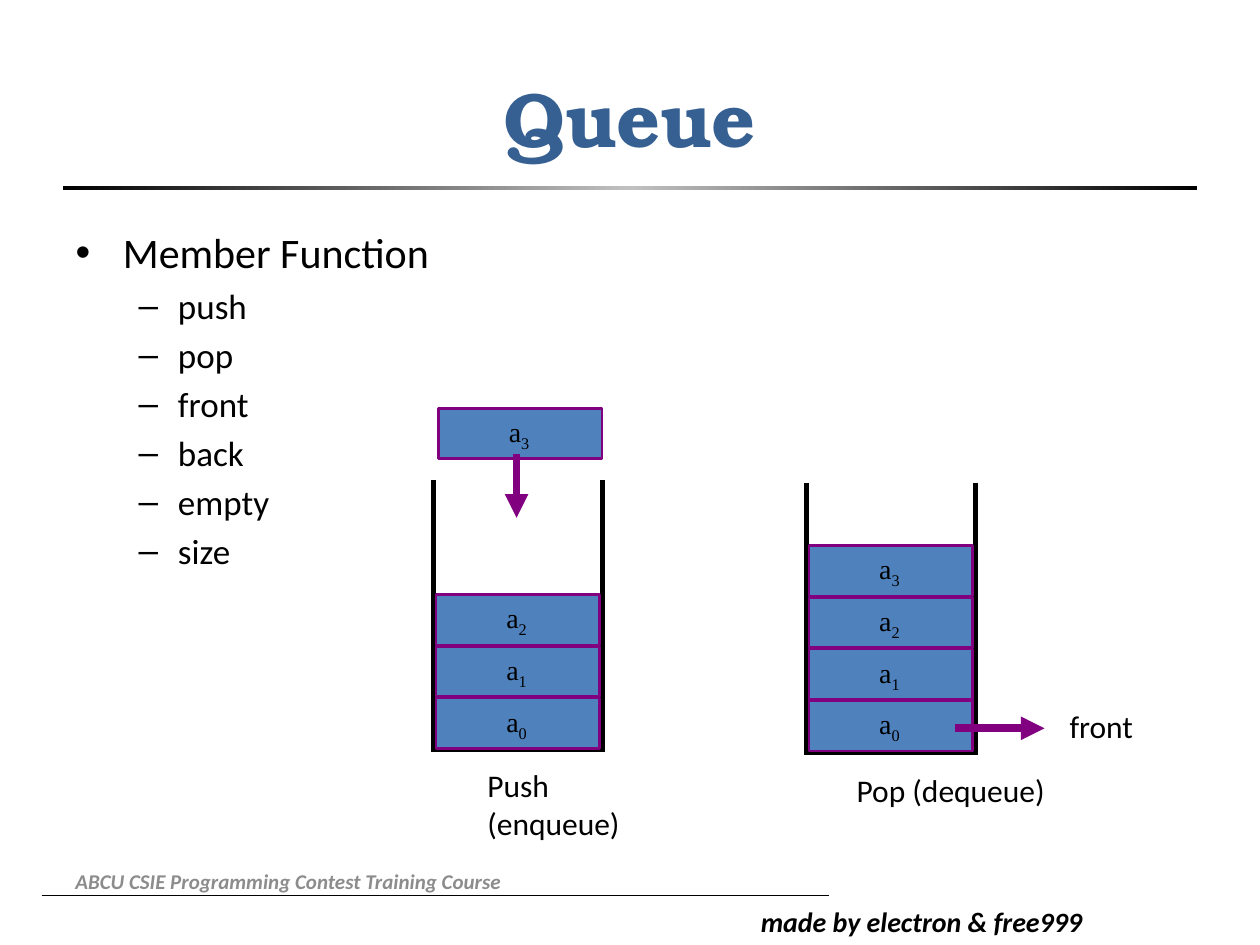
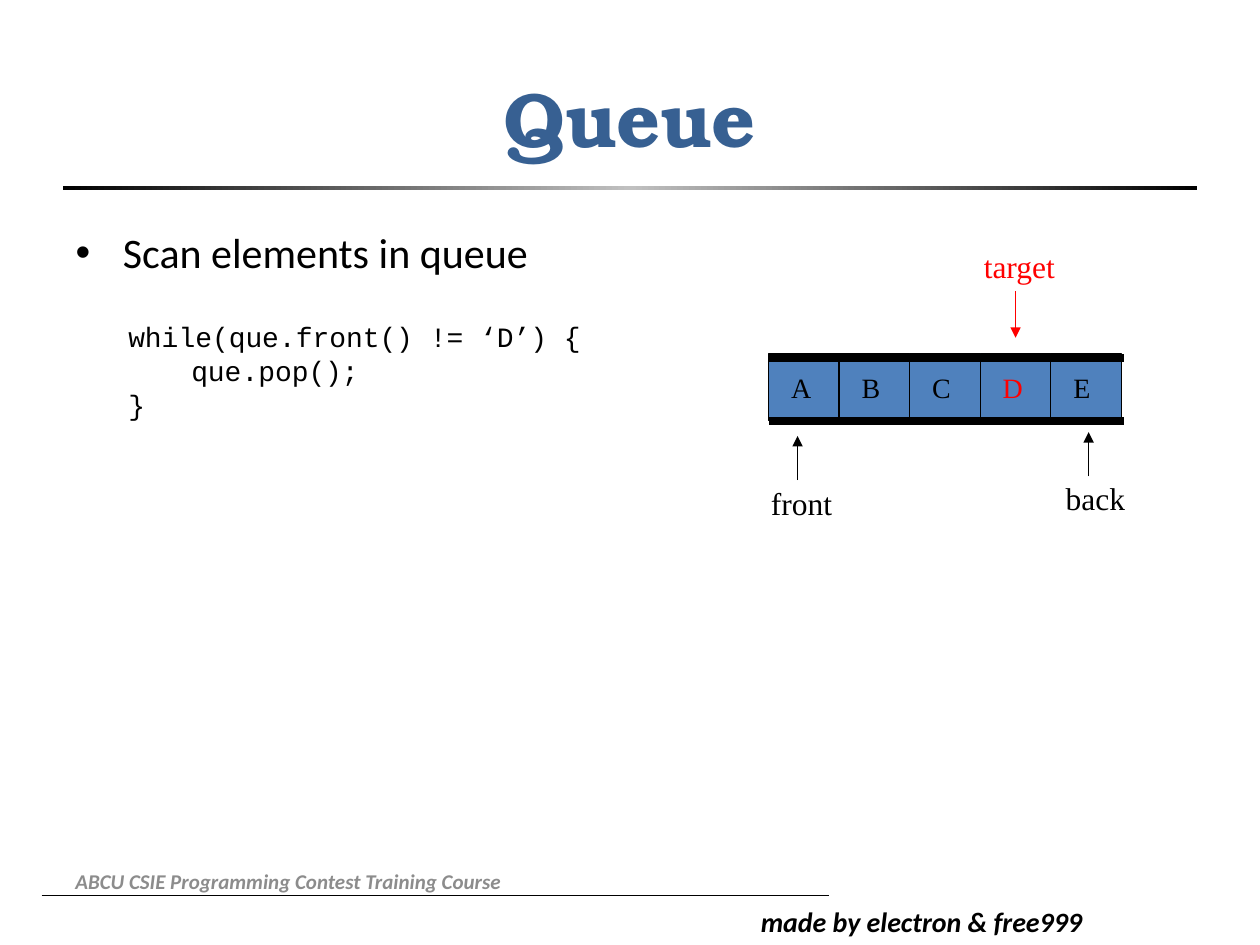
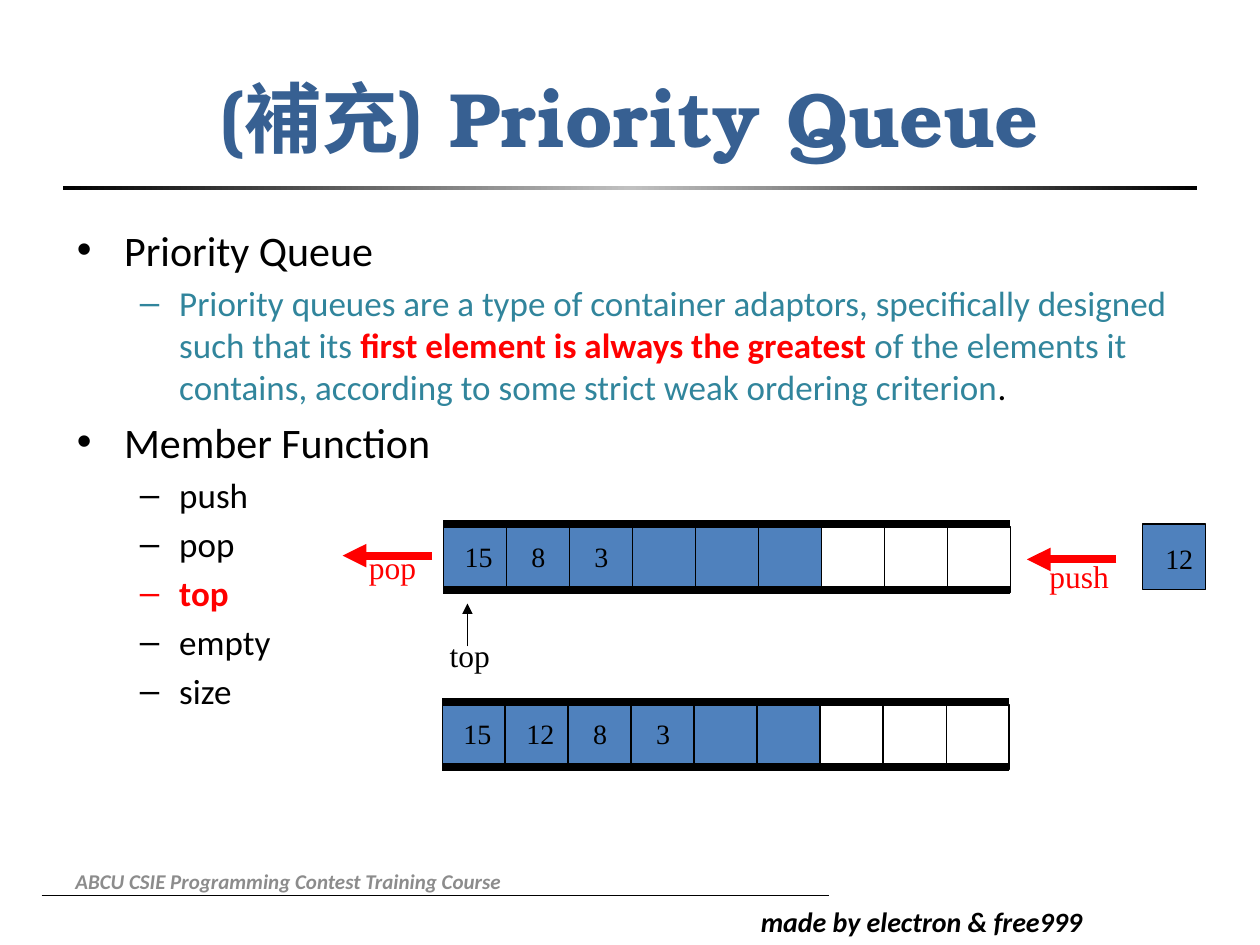
from copy import deepcopy

from lxml.etree import SubElement
from pptx import Presentation
from pptx.dml.color import RGBColor
from pptx.enum.shapes import MSO_CONNECTOR, MSO_SHAPE
from pptx.enum.text import MSO_ANCHOR, MSO_AUTO_SIZE, PP_ALIGN
from pptx.oxml.ns import qn
from pptx.util import Inches, Pt

BLACK = RGBColor(0x00, 0x00, 0x00)
SILVER = RGBColor(0xC0, 0xC0, 0xC0)
GRAY = RGBColor(0x8C, 0x8C, 0x8C)
NAVY = RGBColor(0x37, 0x60, 0x92)
BLUE = RGBColor(0x4F, 0x81, 0xBD)
TEAL = RGBColor(0x31, 0x85, 0x9C)
PURPLE = RGBColor(0x80, 0x00, 0x80)
RED = RGBColor(0xFF, 0x00, 0x00)

TITLE_FONT = "TeX Gyre Bonum"
BODY_FONT = "Calibri"
LABEL_FONT = "Times New Roman"
CODE_FONT = "Courier New"
LEVEL_SIZES = (24, 20)

COURSE = "ABCU CSIE Programming Contest Training Course"
CREDIT = "made by electron & free999"
QUEUE_TITLE = [("Queue", TITLE_FONT)]
PRIORITY_TITLE = [("(", TITLE_FONT), ("補充", "Arial"), (") Priority Queue", TITLE_FONT)]


def plain(level, *lines):
    """Return single-run black list items of one level."""
    return [(level, PP_ALIGN.JUSTIFY, [(line, BLACK, False)]) for line in lines]


QUEUE_FUNCTIONS = plain(0, "Member Function") + plain(
    1, "push", "pop", "front", "back", "empty", "size")
SCAN = plain(0, "Scan elements in queue")
PRIORITY = [
    *plain(0, "Priority Queue"),
    (1, PP_ALIGN.LEFT, [
        ("Priority queues are a type of container adaptors, specifically designed such that its ",
         TEAL, False),
        ("first element is always the greatest ", RED, True),
        ("of the elements it contains, according to some strict weak ordering criterion",
         TEAL, False),
        (".", BLACK, False),
    ]),
    *plain(0, "Member Function"),
    *plain(1, "push", "pop"),
    (1, PP_ALIGN.JUSTIFY, [("top", RED, True)]),
    *plain(1, "empty", "size"),
]
SCAN_CODE = ["while(que.front() != ‘D’) {", "\tque.pop();", "}"]

STACKS = [(3.44, 3.81, ("a0", "a1", "a2")), (6.4, 3.83, ("a0", "a1", "a2", "a3"))]
STACK_CAPTIONS = [
    ("Push (enqueue)", 3.77, 6.03, 1.3),
    ("Pop (dequeue)", 6.7, 6.07, 1.75),
    ("front", 8.39, 5.56, 0.79),
]
SCAN_POINTERS = [
    ("front", 6.02, 3.79, 0.71, (6.33, 3.81, 6.33, 3.46), BLACK),
    ("back", 8.36, 3.75, 0.84, (8.64, 3.78, 8.64, 3.43), BLACK),
    ("target", 7.71, 1.91, 0.84, (8.06, 2.31, 8.06, 2.68), RED),
]
PRIORITY_POINTERS = [
    ("top", 3.47, 5.0, 0.63, (3.71, 5.13, 3.71, 4.79), BLACK, 0.75),
    ("push", 8.23, 4.37, 0.84, (8.86, 4.44, 8.15, 4.44), RED, 4.5),
    ("pop", 2.83, 4.3, 0.84, (3.43, 4.41, 2.72, 4.41), RED, 4.5),
]
PRIORITY_ROWS = [(3.52, 4.16, ("15", "8", "3")), (3.51, 5.57, ("15", "12", "8", "3"))]
FILLED_COUNT = 6
FREE_POSITIONS = (6, 8)
PRIORITY_CELL = (0.5, 0.52)
SCAN_CELL = (0.56, 0.53)
SCAN_LETTERS = "ABCDE"
SCAN_TARGET = "D"


def place(shape, left, top, width, height):
    """Move and size a shape in inches."""
    shape.left, shape.top = Inches(left), Inches(top)
    shape.width, shape.height = Inches(width), Inches(height)


def style(font, size, color, name=None, bold=None, italic=None):
    """Set the look of a font."""
    font.size = Pt(size)
    font.color.rgb = color
    font.name = name
    font.bold = bold
    font.italic = italic


def add_text(slide, lines, left, top, width, height, size, name, color=BLACK, emphasis=None):
    """Add a wrapping text box with one paragraph per line."""
    box = slide.shapes.add_textbox(Inches(left), Inches(top), Inches(width), Inches(height))
    frame = box.text_frame
    frame.word_wrap = True
    frame.text = "\n".join(lines)
    for paragraph in frame.paragraphs:
        style(paragraph.font, size, color, name, emphasis, emphasis)
    return frame


def add_line(slide, ends, color, width, arrow=False):
    """Add a straight line, with an arrowhead at its end if wanted."""
    line = slide.shapes.add_connector(MSO_CONNECTOR.STRAIGHT, *map(Inches, ends))
    line.line.color.rgb = color
    line.line.width = Pt(width)
    properties = line._element.spPr
    if arrow:
        SubElement(properties.find(qn("a:ln")), qn("a:tailEnd"), type="triangle")
    SubElement(properties, qn("a:effectLst"))


def add_cell(slide, left, top, width, height, fill=BLUE, outline=BLACK, weight=0.75):
    """Add one element cell; no fill leaves it open."""
    cell = slide.shapes.add_shape(
        MSO_SHAPE.RECTANGLE, Inches(left), Inches(top), Inches(width), Inches(height))
    cell.shadow.inherit = False
    if fill is None:
        cell.fill.background()
    else:
        cell.fill.solid()
        cell.fill.fore_color.rgb = fill
    cell.line.color.rgb = outline
    cell.line.width = Pt(weight)


def add_label(slide, label, left, top, width=0.44, size=16, color=BLACK):
    """Add a serif label beside or over a cell."""
    return add_text(slide, [label], left, top, width, 0.37, size, LABEL_FONT, color)


def add_rule(slide):
    """Add the gradient rule below the title."""
    rule = slide.shapes.add_shape(
        MSO_SHAPE.RECTANGLE, Inches(0.5), Inches(1.48), Inches(9), Inches(0.03))
    rule.shadow.inherit = False
    rule.line.fill.background()
    rule.fill.gradient()
    rule.fill.gradient_angle = 0
    stop_list = rule._element.spPr.find(".//" + qn("a:gsLst"))
    stop_list.append(deepcopy(stop_list[0]))
    shades = ((0, BLACK), (0.5, SILVER), (1, BLACK))
    for stop, (position, color) in zip(rule.fill.gradient_stops, shades):
        stop.position = position
        stop.color.rgb = color


def add_page(deck, title_runs, items, left=0.5, top=1.75, height=4.95):
    """Add a slide with title, list, rule and footer."""
    slide = deck.slides.add_slide(deck.slide_layouts[1])
    add_line(slide, (0.33, 7.11, 6.58, 7.11), BLACK, 0.5)
    add_text(slide, [CREDIT], 5.94, 7.13, 3.07, 0.37, 16, BODY_FONT, emphasis=True)
    add_rule(slide)

    title = slide.shapes.title
    place(title, 0.5, 0.3, 9, 1.25)
    heading = title.text_frame.paragraphs[0]
    heading.alignment = PP_ALIGN.CENTER
    style(heading.font, 44, NAVY, bold=True)
    for text, name in title_runs:
        run = heading.add_run()
        run.text = text
        run.font.name = name

    body = slide.placeholders[1]
    place(body, left, top, 9, height)
    frame = body.text_frame
    frame.auto_size = MSO_AUTO_SIZE.NONE
    for index, (level, alignment, runs) in enumerate(items):
        paragraph = frame.add_paragraph() if index else frame.paragraphs[0]
        paragraph.level = level
        paragraph.alignment = alignment
        paragraph.font.size = Pt(LEVEL_SIZES[level])
        paragraph.font.name = BODY_FONT
        for text, color, bold in runs:
            run = paragraph.add_run()
            run.text = text
            run.font.color.rgb = color
            run.font.bold = bold

    course = add_text(slide, [COURSE], 0.5, 6.79, 4.66, 0.4, 12, BODY_FONT, GRAY, True)
    course.vertical_anchor = MSO_ANCHOR.MIDDLE
    return slide


def add_element(slide, name, left, top):
    """Add a stack element whose label ends in a subscript."""
    add_cell(slide, left, top, 1.3, 0.4, outline=PURPLE, weight=1.5)
    paragraph = add_label(slide, name[0], left + 0.46, top, 0.4).paragraphs[0]
    subscript = paragraph.add_run()
    subscript.text = name[1:]
    subscript._r.get_or_add_rPr().set("baseline", "-25000")


def add_stack(slide, left, top, names):
    """Add an open container filled from the bottom."""
    right, bottom = left + 1.34, top + 2.14
    for ends in ((left, top, left, bottom + 0.02), (right, top, right, bottom + 0.02),
                 (left, bottom, right, bottom)):
        add_line(slide, ends, BLACK, 3)
    for index, name in enumerate(names):
        add_element(slide, name, left + 0.02, top + 1.73 - 0.41 * index)


def add_rails(slide, left, right, top, bottom):
    """Add the thick lines above and below a row of cells."""
    for y in (bottom, top):
        add_line(slide, (left, y, right, y), BLACK, 4.5)


def add_priority_row(slide, left, top, labels):
    """Add a row of filled and free cells with labels."""
    width, height = PRIORITY_CELL
    for index in range(FILLED_COUNT):
        add_cell(slide, left + width * index, top, width, height)
    for index in FREE_POSITIONS:
        add_cell(slide, left + width * index, top + 0.02, width, height, fill=None)
    for index, label in enumerate(labels):
        inset = 0.07 if len(label) > 1 else 0.1
        add_label(slide, label, left + width * index + inset, top + 0.07)
    add_rails(slide, left, left + 9 * width, top, top + height)


def build_functions(deck):
    """Build the slide on pushing and popping."""
    slide = add_page(deck, QUEUE_TITLE, QUEUE_FUNCTIONS)
    for left, top, names in STACKS:
        add_stack(slide, left, top, names)
    add_element(slide, "a3", 3.48, 3.24)
    for ends in ((4.1, 3.6, 4.1, 4.11), (7.58, 5.78, 8.29, 5.78)):
        add_line(slide, ends, PURPLE, 4.5, arrow=True)
    for caption, left, top, width in STACK_CAPTIONS:
        add_text(slide, [caption], left, top, width, 0.4, 18, BODY_FONT)


def build_scan(deck):
    """Build the slide on scanning a queue."""
    slide = add_page(deck, QUEUE_TITLE, SCAN, height=0.75)
    add_text(slide, SCAN_CODE, 0.92, 2.49, 8.44, 0.91, 16, CODE_FONT)
    left, top = 6.1, 2.81
    width, height = SCAN_CELL
    for index, letter in enumerate(SCAN_LETTERS):
        cell_left = left + width * index
        add_cell(slide, cell_left, top, width, height)
        add_label(slide, letter, cell_left + 0.08, top + 0.08, 0.4,
                  color=RED if letter == SCAN_TARGET else BLACK)
    add_rails(slide, left, 8.92, top + 0.03, top + height)
    for label, label_left, label_top, label_width, ends, color in SCAN_POINTERS:
        add_line(slide, ends, color, 0.75, arrow=True)
        add_label(slide, label, label_left, label_top, label_width, 18, color)


def build_priority(deck):
    """Build the slide on priority queues."""
    slide = add_page(deck, PRIORITY_TITLE, PRIORITY, left=0.51, top=1.73)
    for left, top, labels in PRIORITY_ROWS:
        add_priority_row(slide, left, top, labels)
    add_cell(slide, 9.07, 4.16, *PRIORITY_CELL)
    add_label(slide, "12", 9.15, 4.25, 0.57)
    for label, left, top, width, ends, color, weight in PRIORITY_POINTERS:
        add_line(slide, ends, color, weight, arrow=True)
        add_label(slide, label, left, top, width, 18, color)


def main():
    """Build and save the deck."""
    deck = Presentation()
    deck.slide_width, deck.slide_height = Inches(10), Inches(7.5)
    build_functions(deck)
    build_scan(deck)
    build_priority(deck)
    deck.save("out.pptx")


if __name__ == "__main__":
    main()
